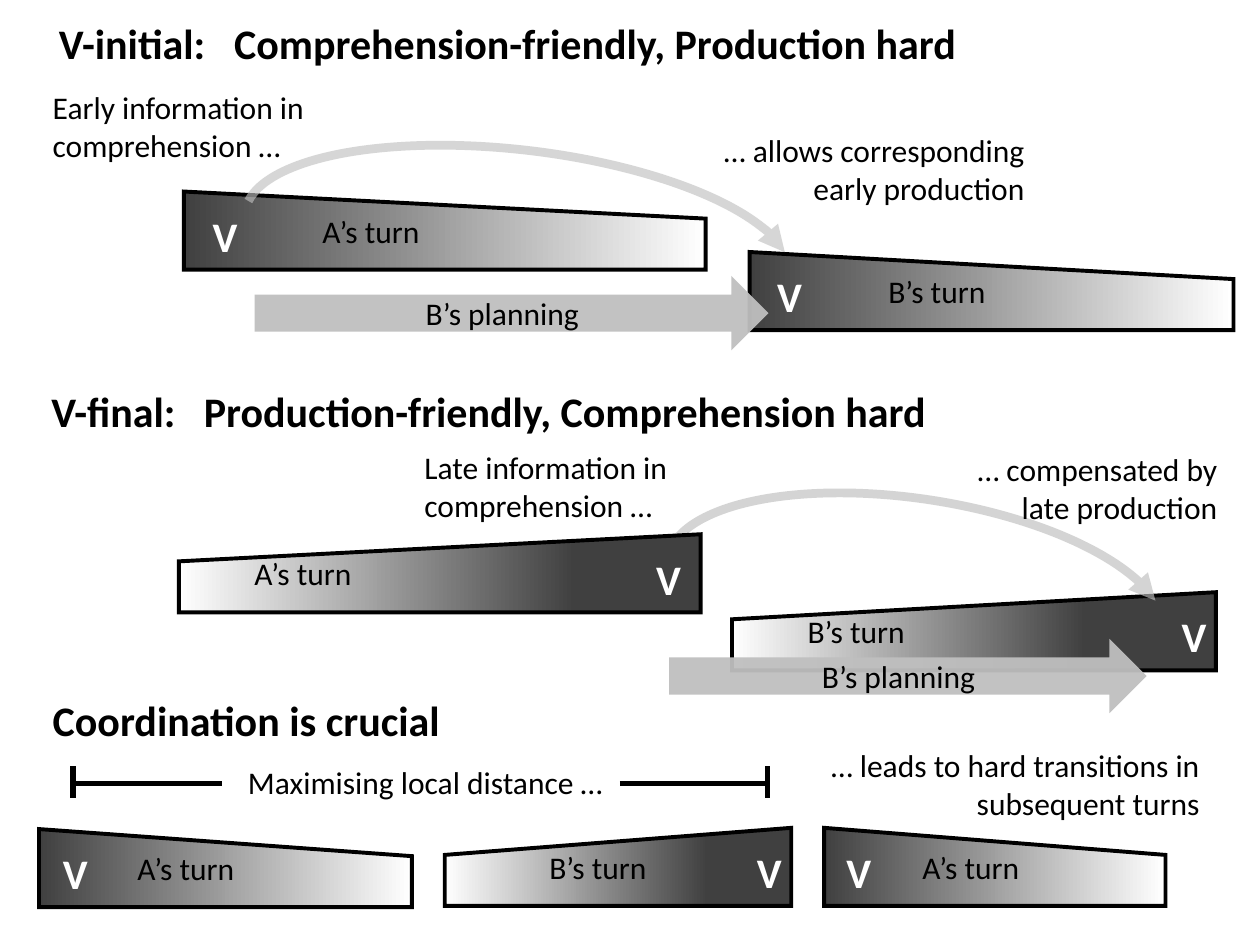
from lxml import etree
from pptx import Presentation
from pptx.dml.color import RGBColor
from pptx.enum.shapes import MSO_CONNECTOR, MSO_SHAPE
from pptx.enum.text import MSO_ANCHOR, PP_ALIGN
from pptx.oxml.ns import qn
from pptx.util import Inches, Pt

LEFT, CENTER, RIGHT = PP_ALIGN.LEFT, PP_ALIGN.CENTER, PP_ALIGN.RIGHT
TOP, MIDDLE = MSO_ANCHOR.TOP, MSO_ANCHOR.MIDDLE
ARC, ARROW = MSO_SHAPE.ARC, MSO_SHAPE.RIGHT_ARROW
STRAIGHT = MSO_CONNECTOR.STRAIGHT

BLACK, WHITE, DARK, GREY = "000000", "FFFFFF", "404040", "BFBFBF"
BODY = {"name": "Calibri", "size": Pt(18), "bold": False}
STRONG = {"name": "Calibri", "size": Pt(24), "bold": True}

# The grid has 100 columns and 75 rows of square cells.
WIDTH, HEIGHT = Inches(10), Inches(7.5)
CELL = WIDTH // 100
WEDGE_HEIGHT, WEDGE_SLOPE = 6.2, 2.15


def cells(*counts):
    return [round(count * CELL) for count in counts]


def color(hex_code):
    return RGBColor.from_string(hex_code)


def write(shape, text, style=BODY, ink=BLACK, align=LEFT, anchor=TOP):
    frame = shape.text_frame
    frame.word_wrap = True
    frame.vertical_anchor = anchor
    paragraph = frame.paragraphs[0]
    paragraph.alignment = align
    run = paragraph.add_run()
    run.text = text
    for name, value in style.items():
        setattr(run.font, name, value)
    run.font.color.rgb = color(ink)


def add_label(slide, text, box, **style):
    write(slide.shapes.add_textbox(*cells(*box)), text, **style)


def add_heading(slide, text, left, top, tab=None):
    """Add a section heading; tab is where the part after a tab starts."""
    heading = slide.shapes.add_textbox(*cells(left, top, 84, 5))
    write(heading, text, STRONG)
    if tab:
        properties = heading.text_frame.paragraphs[0]._p.get_or_add_pPr()
        stops = etree.SubElement(properties, qn("a:tabLst"))
        etree.SubElement(stops, qn("a:tab"), pos=str(cells(tab)[0]), algn="l")


def add_wedge(slide, text, left, top, width, indent, verb_left, dark=0):
    """Add a turn: V-initial if dark is 0, else V-final and dark from that percent."""
    right, bottom, low = left + width, top + WEDGE_HEIGHT, top + WEDGE_SLOPE
    left_top, right_top = (low, top) if dark else (top, low)
    builder = slide.shapes.build_freeform(*cells(left, bottom))
    corners = [(right, bottom), (right, right_top), (left, left_top)]
    builder.add_line_segments([cells(*corner) for corner in corners], close=True)
    wedge = builder.convert_to_shape()
    wedge.shadow.inherit = False
    wedge.fill.gradient()
    wedge.fill.gradient_angle = 0
    shades = [(0, WHITE), (dark / 100, DARK)] if dark else [(0, DARK), (1, WHITE)]
    for stop, (position, shade) in zip(wedge.fill.gradient_stops, shades):
        stop.position = position
        stop.color.rgb = color(shade)
    wedge.line.color.rgb = color(BLACK)
    wedge.line.width = Pt(2.25)
    outline = wedge._element.spPr.find(qn("a:ln"))
    etree.SubElement(outline, qn("a:miter"), lim="800000")
    wedge.text_frame.margin_left = cells(indent)[0]
    write(wedge, text, anchor=MIDDLE)
    add_label(slide, "V", (verb_left, top + 1, 4.3, 5), style=STRONG, ink=WHITE)


def set_opacity(shape, percent):
    for shade in shape._element.spPr.iter(qn("a:srgbClr")):
        etree.SubElement(shade, qn("a:alpha"), val=str(percent * 1000))


def add_planning(slide, box):
    arrow = slide.shapes.add_shape(ARROW, *cells(*box))
    arrow.shadow.inherit = False
    arrow.fill.solid()
    arrow.fill.fore_color.rgb = color(GREY)
    arrow.line.fill.background()
    set_opacity(arrow, 95)
    write(arrow, "B’s planning", align=CENTER, anchor=MIDDLE)


def add_arc(slide, box, rotation, ends, opacity):
    arc = slide.shapes.add_shape(ARC, *cells(*box))
    arc.shadow.inherit = False
    arc.rotation = rotation
    for index, end in enumerate(ends):
        arc.adjustments[index] = end
    arc.fill.background()
    arc.line.color.rgb = color(GREY)
    arc.line.width = Pt(5)
    set_opacity(arc, opacity)
    outline = arc._element.spPr.find(qn("a:ln"))
    etree.SubElement(outline, qn("a:tailEnd"), type="triangle")


def add_line(slide, *ends):
    line = slide.shapes.add_connector(STRAIGHT, *cells(*ends))
    line.line.color.rgb = color(BLACK)
    line.line.width = Pt(3)
    etree.SubElement(line._element.spPr, qn("a:effectLst"))


def add_distance_mark(slide, outer, inner):
    add_line(slide, inner, 62.2, outer, 62.2)
    add_line(slide, outer, 60.8, outer, 63.3)


def add_v_initial(slide):
    add_heading(slide, "V-initial:\tComprehension-friendly, Production hard", 3.7, 0.9, 13.9)
    add_wedge(slide, "B’s turn", 59.5, 20, 38.4, 11, 60.7)
    add_wedge(slide, "A’s turn", 14.6, 15.2, 41.4, 11, 15.9)
    add_planning(slide, (20.2, 21.9, 40.8, 5.9))
    add_arc(slide, (19.3, 11.9, 43.6, 15), 6.7, (109.47, 212.99), 64)
    add_label(slide, "Early information in comprehension …", (3.2, 6.5, 26.4, 7.1))
    add_label(slide, "… allows corresponding early production",
              (54.5, 9.9, 27.8, 7.1), align=RIGHT)


def add_v_final(slide):
    add_heading(slide, "V-final:\tProduction-friendly, Comprehension hard", 3.1, 30.1, 12.1)
    add_wedge(slide, "B’s turn", 58.1, 47, 38.4, 6, 92.8, dark=73)
    add_planning(slide, (53.1, 50.7, 37.9, 5.9))
    add_arc(slide, (52.7, 39.6, 40, 15.7), 8.7, (110.27, 211.18), 66)
    add_wedge(slide, "A’s turn", 14.2, 42.4, 41.4, 6, 51.1, dark=76)
    add_label(slide, "Late information in comprehension …", (32.7, 35.1, 25, 7.1))
    add_label(slide, "… compensated by late production",
              (73.9, 35.2, 23.7, 7.1), align=RIGHT)


def add_coordination(slide):
    add_heading(slide, "Coordination is crucial", 3.2, 54.6)
    add_wedge(slide, "A’s turn", 3.1, 65.8, 29.6, 7.8, 4)
    add_wedge(slide, "B’s turn", 35.3, 65.7, 27.5, 8.3, 59.1, dark=76)
    add_wedge(slide, "A’s turn", 65.4, 65.7, 27.1, 7.8, 66.2)
    add_label(slide, "Maximising local distance …", (18.7, 60.1, 34.6, 4))
    add_label(slide, "… leads to hard transitions in subsequent turns",
              (61.6, 58.7, 34.6, 7.1), align=RIGHT)
    add_distance_mark(slide, 5.8, 17.6)
    add_distance_mark(slide, 60.9, 49.2)


def main():
    deck = Presentation()
    deck.slide_width, deck.slide_height = WIDTH, HEIGHT
    slide = deck.slides.add_slide(deck.slide_layouts[6])
    add_v_initial(slide)
    add_v_final(slide)
    add_coordination(slide)
    deck.save("out.pptx")


if __name__ == "__main__":
    main()
